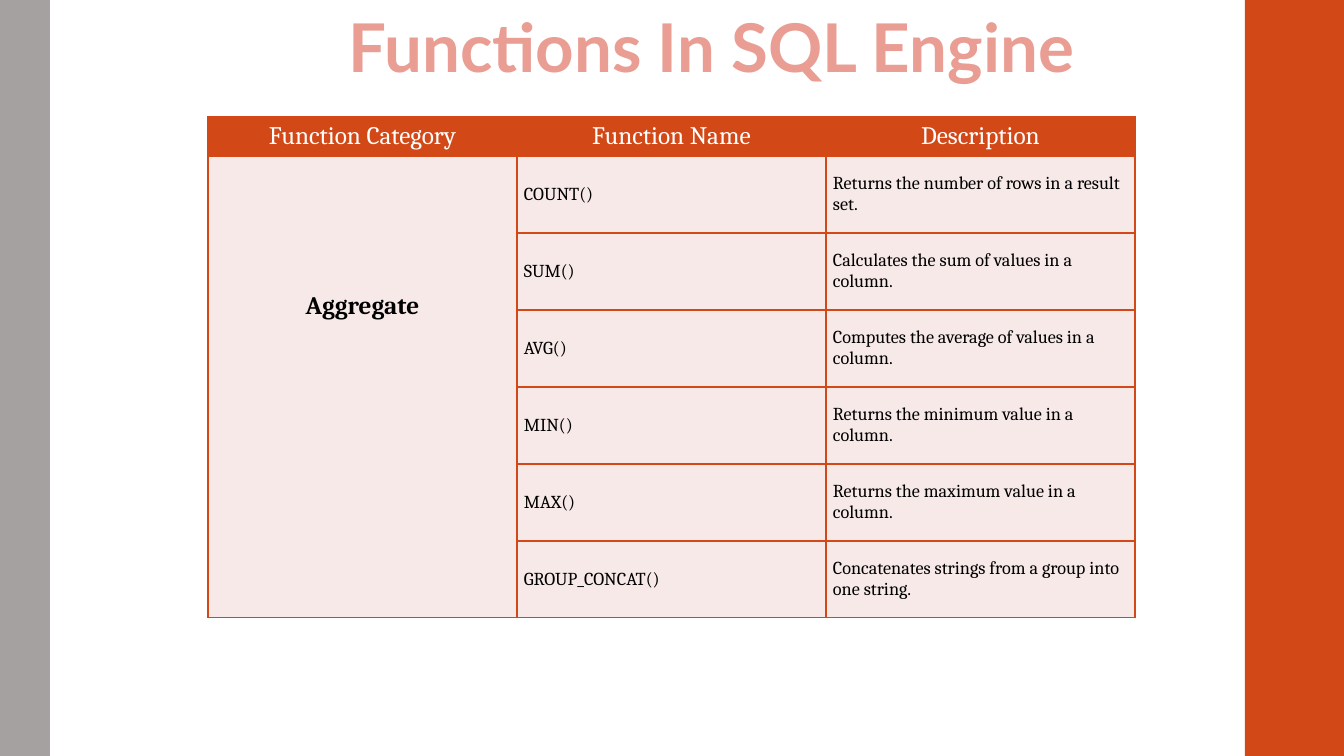
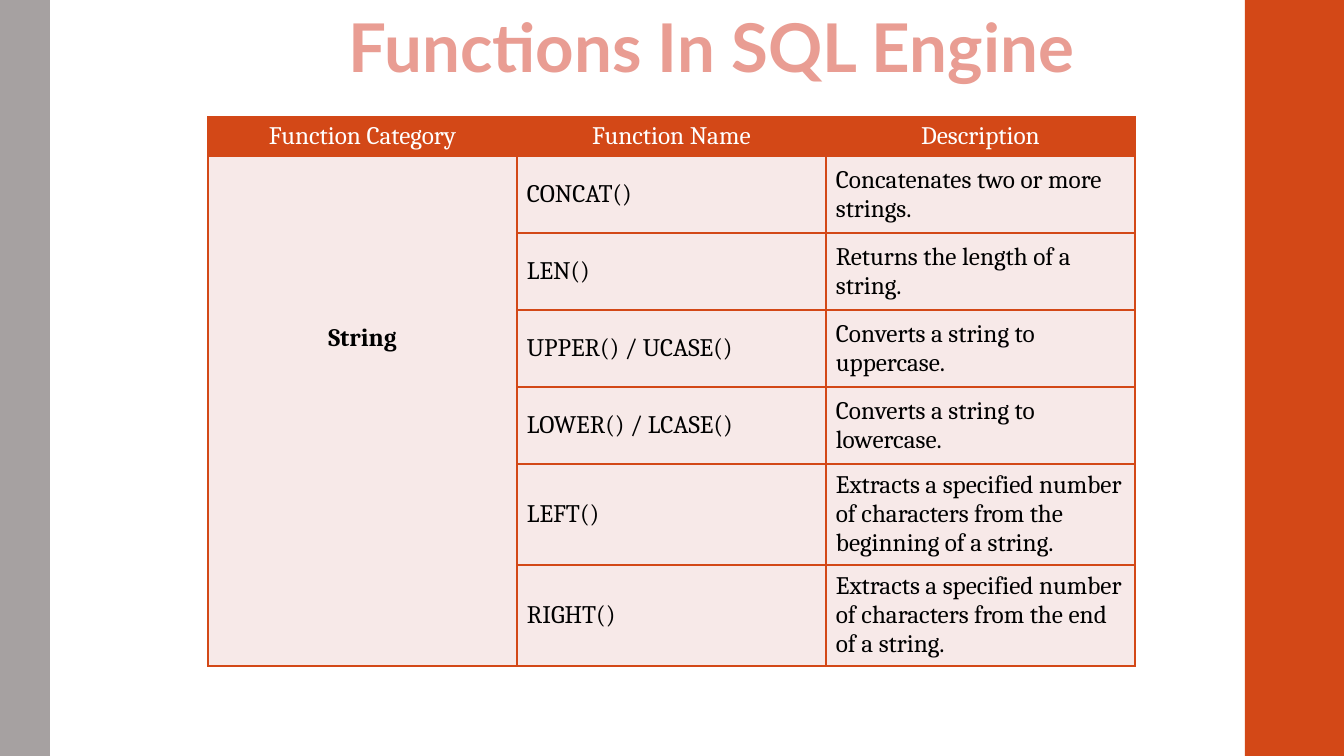
"""Build two slides that list SQL functions by category."""
from lxml.etree import SubElement
from pptx import Presentation
from pptx.dml.color import RGBColor as RGB
from pptx.enum.shapes import MSO_SHAPE as SHAPE
from pptx.enum.text import MSO_ANCHOR as ANCHOR, PP_ALIGN as ALIGN
from pptx.oxml.ns import qn
from pptx.util import Pt

SCALE = 914400 / 100.8
HUES = {"rust": "D34817", "gray": "A6A1A1", "pale": "F7E9E8",
        "pink": "E99D93", "white": "FFFFFF", "black": "000000"}
HEAD = ["Function Category", "Function Name", "Description"]
BANDS = [(1245, 99, "rust"), (0, 50, "gray")]
TIGHT = {"margin_left": 7, "margin_right": 7, "margin_top": 4, "margin_bottom": 4}
LOOSE = {"margin_left": 10, "margin_right": 10, "margin_top": 5, "margin_bottom": 5}
PAGES = [
    {"name": "Aggregate", "size": 13, "pad": TIGHT, "lift": 162,
     "rows": [77] * 6,
     "items": [
         ("COUNT()", "Returns the number of rows in a result set."),
         ("SUM()", "Calculates the sum of values in a column."),
         ("AVG()", "Computes the average of values in a column."),
         ("MIN()", "Returns the minimum value in a column."),
         ("MAX()", "Returns the maximum value in a column."),
         ("GROUP_CONCAT()", "Concatenates strings from a group into one string.")]},
    {"name": "String", "size": 18, "pad": LOOSE, "lift": 146,
     "rows": [77] * 4 + [101] * 2,
     "items": [
         ("CONCAT()", "Concatenates two or more strings."),
         ("LEN()", "Returns the length of a string."),
         ("UPPER() / UCASE()", "Converts a string to uppercase."),
         ("LOWER() / LCASE()", "Converts a string to lowercase."),
         ("LEFT()", "Extracts a specified number of characters from the beginning of a string."),
         ("RIGHT()", "Extracts a specified number of characters from the end of a string.")]},
]


def px(*nums):
    return [round(n * SCALE) for n in nums]


def write(frame, text, hue, align, **style):
    para = frame.paragraphs[0]
    para.alignment = align
    run = para.add_run()
    run.text = text
    run.font.color.rgb = RGB.from_string(HUES[hue])
    for key, value in style.items():
        setattr(run.font, key, value)


deck = Presentation()
deck.slide_width, deck.slide_height = px(1344, 756)

for page in PAGES:
    slide = deck.slides.add_slide(deck.slide_layouts[6])
    for left, width, hue in BANDS:
        band = slide.shapes.add_shape(SHAPE.RECTANGLE, *px(left, 0, width, 756))
        band.shadow.inherit = False
        band.fill.solid()
        band.fill.fore_color.rgb = RGB.from_string(HUES[hue])
        band.line.fill.background()

    high = [39] + page["rows"]
    grid = slide.shapes.add_table(7, 3, *px(208, 117, 927, sum(high))).table
    grid.first_row = True
    grid.horz_banding = False
    for col in grid.columns:
        col.width = px(309)[0]
    for row, size in zip(grid.rows, px(*high)):
        row.height = size
    grid.cell(1, 0).merge(grid.cell(6, 0))

    lines = [HEAD] + [("", *item) for item in page["items"]]
    lines[1] = (page["name"], *page["items"][0])
    for r, line in enumerate(lines):
        for c, text in enumerate(line):
            cell = grid.cell(r, c)
            top, group = r == 0, c == 0 and r > 0
            pad = dict(TIGHT if top else page["pad"])
            if group:
                pad["margin_bottom"] += page["lift"]
            for key, value in pad.items():
                setattr(cell, key, px(value)[0])
            cell.vertical_anchor = ANCHOR.MIDDLE
            props = cell._tc.get_or_add_tcPr()
            for side in ("a:lnL", "a:lnR", "a:lnT", "a:lnB"):
                edge = SubElement(props, qn(side), w=str(Pt(1)))
                paint = SubElement(edge, qn("a:solidFill"))
                SubElement(paint, qn("a:srgbClr"), val=HUES["rust"])
            cell.fill.solid()
            cell.fill.fore_color.rgb = RGB.from_string(HUES["rust" if top else "pale"])
            if text:
                write(cell.text_frame, text, "white" if top else "black",
                      ALIGN.CENTER if top or group else ALIGN.LEFT,
                      name="Cambria", bold=group,
                      size=Pt(18 if top or group else page["size"]))

    title = slide.shapes.add_textbox(*px(336, 0, 751, 92)).text_frame
    title.word_wrap = True
    write(title, "Functions In SQL Engine", "pink", ALIGN.CENTER,
          name="Lato", size=Pt(48), bold=True)

deck.save("out.pptx")
